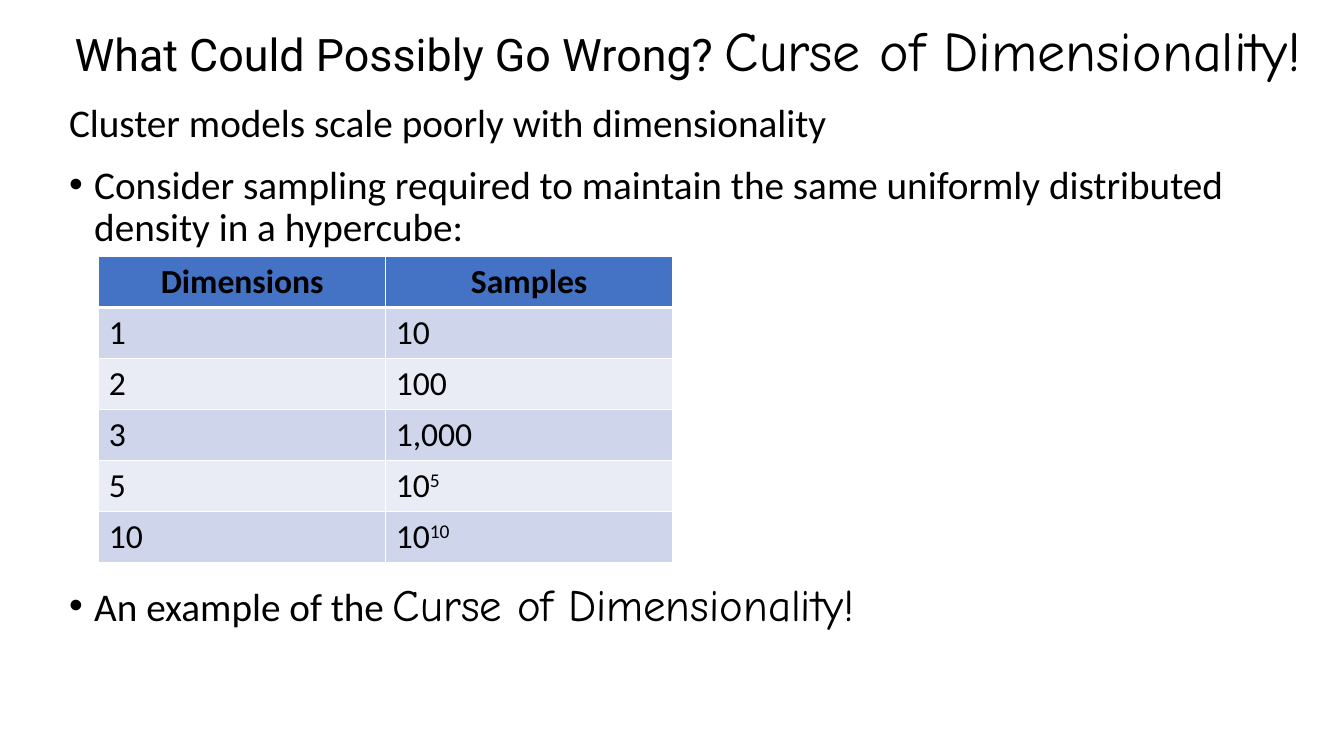
import dataclasses

import lxml.etree
import pptx
import pptx.dml.color
import pptx.enum.text
import pptx.oxml.ns
import pptx.util

IN = pptx.util.Inches
PT = pptx.util.Pt
ALIGN = pptx.enum.text.PP_ALIGN
ANCHOR = pptx.enum.text.MSO_ANCHOR
qn = pptx.oxml.ns.qn


@dataclasses.dataclass(frozen=True)
class Theme:
    ink: str = "000000"
    header: str = "4472C4"
    bands: tuple = ("CFD5EA", "E9EBF5")
    rule: str = "FFFFFF"
    heading_font: str = "Roboto"
    body_font: str = "Calibri"
    accent_font: str = "Comic Neue"
    title_size: int = 32
    title_accent_size: int = 40
    body_size: int = 28
    body_accent_size: int = 32
    table_size: int = 24
    gap: int = 14
    table_gap: int = 238


T = Theme()
W, H = 13.33, 7.5
CURSE = "Curse of Dimensionality!"


def rgb(color):
    return pptx.dml.color.RGBColor.from_string(color)


def add_run(p, text, size=T.body_size, font=T.body_font, bold=False, raised=False):
    r = p.add_run()
    r.text = text
    r.font.size = PT(size)
    r.font.name = font
    r.font.bold = bold
    r.font.color.rgb = rgb(T.ink)
    if raised:
        r.font._element.set("baseline", "30000")


def set_paragraph(p, before=0, bullet=False):
    p.alignment = ALIGN.LEFT
    p.line_spacing = 0.9
    p.space_before = PT(before)
    if bullet:
        pPr = p._p.get_or_add_pPr()
        pPr.set("marL", str(IN(0.25)))
        pPr.set("indent", str(IN(-0.25)))
        lxml.etree.SubElement(pPr, qn("a:buFont"), typeface="Arial")
        lxml.etree.SubElement(pPr, qn("a:buChar"), char="•")


def set_frame(tf, anchor):
    tf.word_wrap = True
    tf.auto_size = pptx.enum.text.MSO_AUTO_SIZE.NONE
    tf.vertical_anchor = anchor


def set_borders(cell, bottom, top):
    tcPr = cell._tc.get_or_add_tcPr()
    sides = (("L", 1), ("R", 1), ("T", top), ("B", bottom))
    for i, (side, width) in enumerate(sides):
        ln = lxml.etree.Element(qn(f"a:ln{side}"), w=str(PT(width)))
        fill = lxml.etree.SubElement(ln, qn("a:solidFill"))
        lxml.etree.SubElement(fill, qn("a:srgbClr"), val=T.rule)
        tcPr.insert(i, ln)


def add_title(s, x, y, w, h):
    sp = s.shapes.title
    sp.left, sp.top, sp.width, sp.height = map(IN, (x, y, w, h))
    set_frame(sp.text_frame, ANCHOR.MIDDLE)
    p = sp.text_frame.paragraphs[0]
    set_paragraph(p)
    add_run(p, "What Could Possibly Go Wrong? ", size=T.title_size, font=T.heading_font)
    add_run(p, CURSE, size=T.title_accent_size, font=T.accent_font)


def add_body(s, x, y, w, h):
    tf = s.shapes.add_textbox(*map(IN, (x, y, w, h))).text_frame
    set_frame(tf, ANCHOR.TOP)
    lines = (
        ("Cluster models scale poorly with dimensionality", T.gap, False),
        ("Consider sampling required to maintain the same uniformly "
         "distributed density in a hypercube:", T.gap, True),
        ("An example of the ", T.table_gap, True),
    )
    for i, (text, before, bullet) in enumerate(lines):
        p = tf.add_paragraph() if i else tf.paragraphs[0]
        set_paragraph(p, before=before, bullet=bullet)
        add_run(p, text)
    add_run(p, CURSE, size=T.body_accent_size, font=T.accent_font)


def add_samples_table(s, x, y, w, h):
    rows = (
        ("Dimensions", "Samples", ""),
        ("1", "10", ""),
        ("2", "100", ""),
        ("3", "1,000", ""),
        ("5", "10", "5"),
        ("10", "10", "10"),
    )
    table = s.shapes.add_table(len(rows), 2, *map(IN, (x, y, w, h))).table
    for i, (dimensions, samples, power) in enumerate(rows):
        head = i == 0
        for j, text in enumerate((dimensions, samples)):
            cell = table.cell(i, j)
            cell.fill.solid()
            cell.fill.fore_color.rgb = rgb(T.header if head else T.bands[(i - 1) % 2])
            set_borders(cell, bottom=3 if head else 1, top=3 if i == 1 else 1)
            p = cell.text_frame.paragraphs[0]
            p.alignment = ALIGN.CENTER if head else ALIGN.LEFT
            add_run(p, text, size=T.table_size, bold=head)
        if power:
            add_run(p, power, size=T.table_size, raised=True)


def main():
    prs = pptx.Presentation()
    prs.slide_width, prs.slide_height = IN(W), IN(H)
    s = prs.slides.add_slide(prs.slide_layouts[5])
    add_title(s, 0.048 * W, 0.032 * H, 0.935 * W, 0.077 * H)
    add_body(s, 0.044 * W, 0.13 * H, 0.929 * W, 0.817 * H)
    add_samples_table(s, 0.0735 * W, 0.339 * H, 0.427 * W, 0.4 * H)
    prs.save("out.pptx")


if __name__ == "__main__":
    main()
